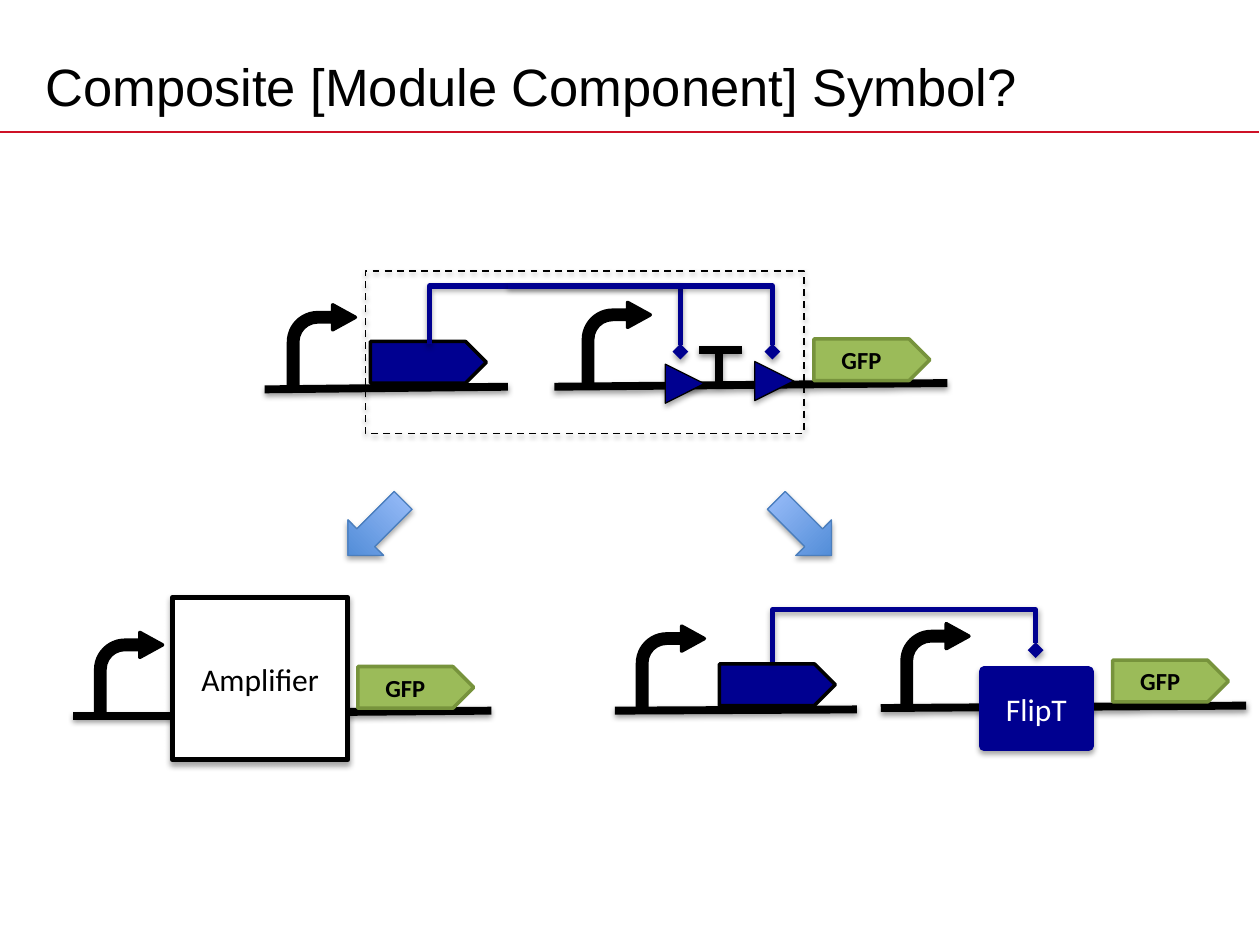
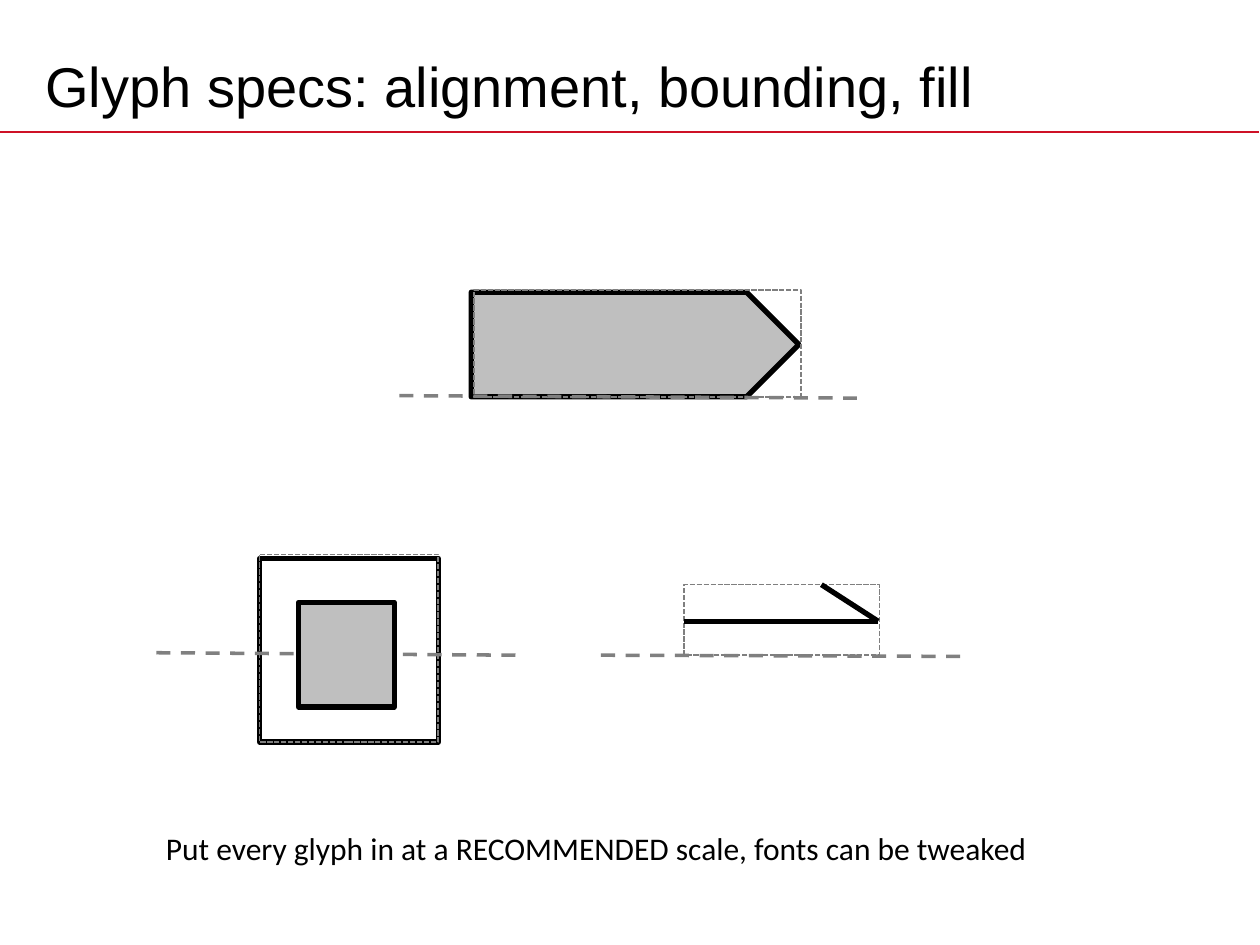
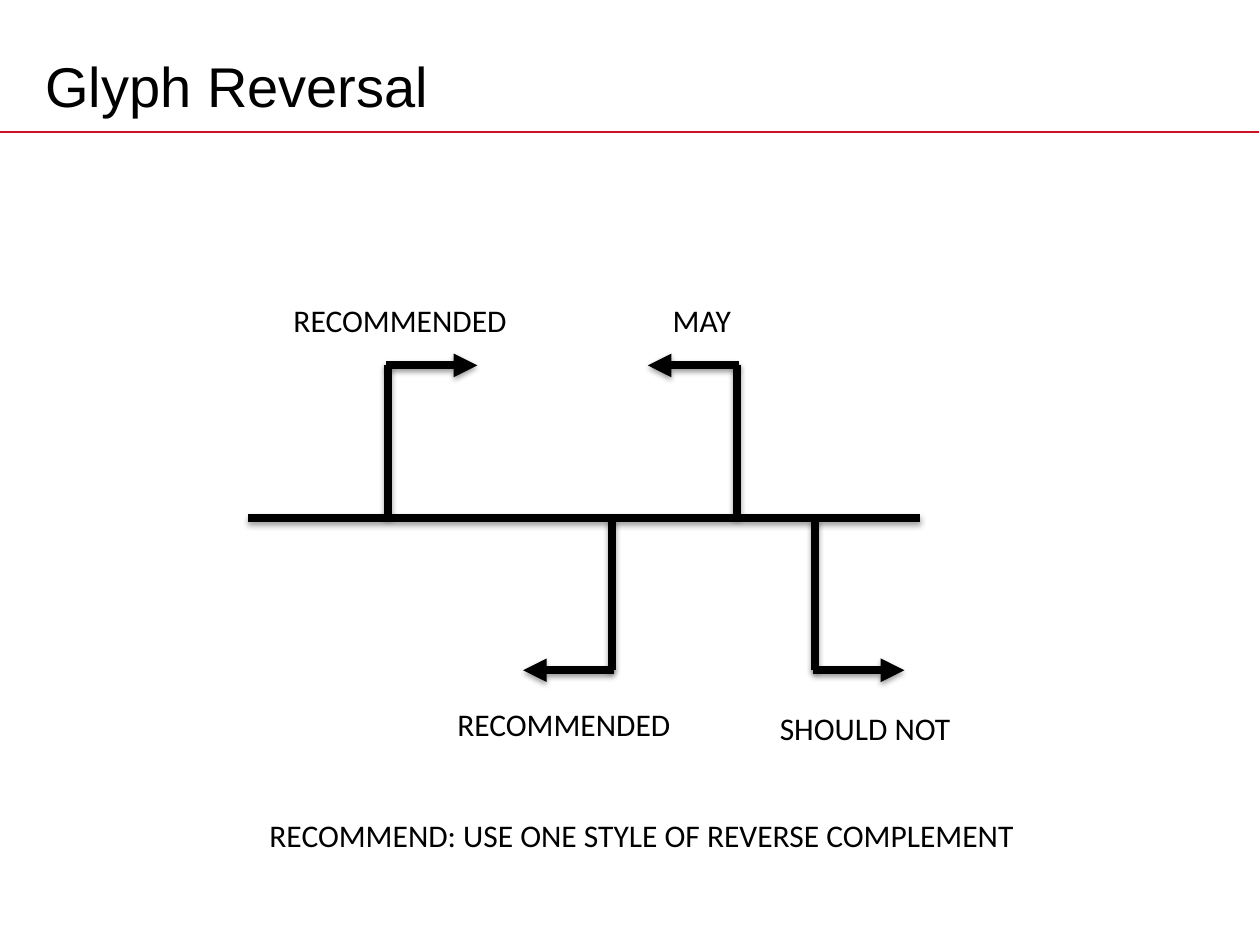
from lxml.etree import SubElement
from pptx import Presentation
from pptx.dml.color import RGBColor
from pptx.enum.dml import MSO_LINE
from pptx.enum.shapes import MSO_CONNECTOR, MSO_SHAPE
from pptx.enum.text import MSO_ANCHOR, MSO_AUTO_SIZE, PP_ALIGN
from pptx.oxml.ns import qn
from pptx.util import Pt

BLACK, WHITE, NAVY = "000000", "FFFFFF", "000090"
RED, GREEN, DARK_GREEN = "CE1126", "9BBB59", "77933C"
GLYPH_GREY, BASELINE_GREY, BOUNDS_GREY = "BFBFBF", "808080", "7F7F7F"


def paint(sp, line, width, fill=None, dash=None, tail=None, shadow=False):
    """Colour a shape or connector; the theme's shadow stays only on request."""
    if fill:
        sp.fill.solid()
        sp.fill.fore_color.rgb = RGBColor.from_string(fill)
    elif hasattr(sp, "fill"):
        sp.fill.background()
    sp.line.color.rgb = RGBColor.from_string(line)
    sp.line.width = Pt(width)
    if dash:
        sp.line.dash_style = dash
    if tail:
        SubElement(sp.element.spPr.find(qn("a:ln")), qn("a:tailEnd"), type=tail)
    if not shadow:
        SubElement(sp.element.spPr, qn("a:effectLst"))


def write(sp, text, size=18, color=BLACK, font="Calibri", bold=False, align=PP_ALIGN.LEFT):
    p = sp.text_frame.paragraphs[0]
    p.text = text
    p.alignment = align
    p.font.name = font
    p.font.size = Pt(size)
    p.font.bold = bold
    p.font.color.rgb = RGBColor.from_string(color)


prs = Presentation()
prs.slide_width, prs.slide_height = Pt(720), Pt(540)

# Shared layout: title position and red rule
layout = prs.slide_layouts[5]
title = layout.placeholders[0]
title.left, title.top, title.width, title.height = Pt(18.7), Pt(21.6), Pt(648), Pt(54)

slides = []
for text, size in [
    ("Composite [Module Component] Symbol?", 30),
    ("Glyph specs: alignment, bounding, fill", 32),
    ("Glyph Reversal", 32),
]:
    s = prs.slides.add_slide(layout)
    write(s.shapes.title, text, size, font="Arial")
    s.shapes.title.text_frame.vertical_anchor = MSO_ANCHOR.MIDDLE
    s.shapes.title.text_frame.auto_size = MSO_AUTO_SIZE.NONE
    slides.append(s)
composite, specs, reversal = [s.shapes for s in slides]

rule = composite.add_connector(MSO_CONNECTOR.STRAIGHT, Pt(0), Pt(75.6), Pt(719.5), Pt(75.6))
paint(rule, RED, 1)
layout.shapes.element.append(rule.element)

# Slide 1: promoters, backbones and coding regions
for x, y in [(164.9, 174.2), (333.4, 172.8), (54.7, 361.4), (364.3, 357.8), (515.5, 356.4)]:
    promoter = composite.add_shape(MSO_SHAPE.BENT_ARROW, Pt(x), Pt(y), Pt(38.2), Pt(46.1))
    for i, value in enumerate((0.139, 0.187, 0.34, 0.438)):
        promoter.adjustments[i] = value
    paint(promoter, BLACK, 2, BLACK)

for x1, y1, x2, y2 in [
    (151.2, 222.5, 290.2, 221),
    (316.8, 221, 541.4, 218.9),
    (41.8, 409, 98.6, 409),
    (198, 406.8, 280.8, 406.1),
    (351.4, 406.1, 489.6, 405.4),
    (503.3, 404.6, 712.1, 403.2),
    (411.1, 200.2, 411.1, 219.6),  # terminator stem
    (399.6, 200.2, 424.1, 200.2),  # terminator bar
]:
    backbone = composite.add_connector(MSO_CONNECTOR.STRAIGHT, Pt(x1), Pt(y1), Pt(x2), Pt(y2))
    paint(backbone, BLACK, 4.5, shadow=True)

for x, y, label in [
    (211.7, 195.1, ""),
    (411.1, 379.4, ""),
    (465.1, 193.7, "GFP"),
    (204.5, 380.9, "GFP"),
    (635.8, 377.3, "GFP"),
]:
    coding = composite.add_shape(MSO_SHAPE.RIGHT_ARROW, Pt(x), Pt(y), Pt(66.2), Pt(23.8))
    coding.adjustments[0] = 1
    if label:
        paint(coding, DARK_GREEN, 2, GREEN)
        write(coding, label, 14, bold=True, align=PP_ALIGN.CENTER)
        coding.text_frame.word_wrap = False
    else:
        paint(coding, BLACK, 2, NAVY)

for x, y in [(380.2, 208.1), (431.3, 206.6)]:
    site = composite.add_shape(MSO_SHAPE.ISOSCELES_TRIANGLE, Pt(x), Pt(y), Pt(22.3), Pt(22.3))
    site.rotation = 90
    paint(site, BLACK, 0.75, NAVY, shadow=True)

# Regulation links
for start, *corners in [
    [(245.5, 196.6), (245.5, 163.4), (388.8, 163.4), (388.8, 200.9)],
    [(290.2, 163.4), (441.4, 163.4), (441.4, 200.9)],
    [(441.4, 378), (441.4, 348.5), (591.8, 348.5), (591.8, 371.5)],
]:
    outline = composite.build_freeform(Pt(start[0]), Pt(start[1]))
    outline.add_line_segments([(Pt(x), Pt(y)) for x, y in corners], close=False)
    paint(outline.convert_to_shape(), NAVY, 3, tail="diamond", shadow=True)

# Module boxes
bounds = composite.add_shape(MSO_SHAPE.RECTANGLE, Pt(208.8), Pt(154.8), Pt(250.6), Pt(92.9))
paint(bounds, BLACK, 1, dash=MSO_LINE.DASH, shadow=True)

for label, x, y, w, h, fill, line, width, color in [
    ("Amplifier", 98.6, 341.3, 100.1, 92.9, WHITE, BLACK, 3, BLACK),
    ("FlipT", 562.3, 383.8, 59.8, 42.5, NAVY, NAVY, 6, WHITE),
]:
    module = composite.add_shape(MSO_SHAPE.RECTANGLE, Pt(x), Pt(y), Pt(w), Pt(h))
    paint(module, line, width, fill, shadow=True)
    write(module, label, color=color, align=PP_ALIGN.CENTER)

for x, angle in [(445, 315), (200.2, 45)]:
    choice = composite.add_shape(MSO_SHAPE.DOWN_ARROW, Pt(x), Pt(279.4), Pt(28.8), Pt(44.6))
    choice.rotation = angle
    paint(choice, "4B7EBC", 0.75, shadow=True)
    choice.fill.gradient()
    choice.fill.gradient_angle = 90
    for stop, color in zip(choice.fill.gradient_stops, ("3F80CE", "A4C4FF")):
        stop.color.rgb = RGBColor.from_string(color)

# Slide 2: glyphs, then baselines and bounding boxes over them
for kind, x, y, w, h, fill in [
    (MSO_SHAPE.RIGHT_ARROW, 269.3, 167, 187.2, 59.8, GLYPH_GREY),
    (MSO_SHAPE.RECTANGLE, 148.3, 319, 102.2, 105.1, None),
]:
    glyph = specs.add_shape(kind, Pt(x), Pt(y), Pt(w), Pt(h))
    if kind == MSO_SHAPE.RIGHT_ARROW:
        glyph.adjustments[0] = 1
    paint(glyph, BLACK, 3, fill)

for x1, y1, x2, y2 in [
    (228.2, 226.1, 489.6, 227.5),
    (89.3, 373, 295.2, 374.4),
    (343.4, 374.4, 549.4, 375.1),
]:
    baseline = specs.add_connector(MSO_CONNECTOR.STRAIGHT, Pt(x1), Pt(y1), Pt(x2), Pt(y2))
    paint(baseline, BASELINE_GREY, 2, dash=MSO_LINE.DASH)

for x, y, w, h in [
    (270.7, 165.6, 187.2, 61.2),
    (148.3, 316.8, 102.2, 107.3),
    (391, 334.1, 111.6, 40.3),
]:
    bounds = specs.add_shape(MSO_SHAPE.RECTANGLE, Pt(x), Pt(y), Pt(w), Pt(h))
    paint(bounds, BOUNDS_GREY, 1, dash=MSO_LINE.SQUARE_DOT)

core = specs.add_shape(MSO_SHAPE.RECTANGLE, Pt(170.6), Pt(344.2), Pt(54.7), Pt(59.8))
paint(core, BLACK, 3, GLYPH_GREY)

for x, y in [(391, 355), (469.4, 334.1)]:
    stroke = specs.add_connector(MSO_CONNECTOR.STRAIGHT, Pt(x), Pt(y), Pt(501.8), Pt(355))
    paint(stroke, BLACK, 3)

# Slide 3: a backbone with promoters in four orientations
BACKBONE_Y, ABOVE_Y, BELOW_Y = 296, 208.8, 383
strokes = [(141.8, BACKBONE_Y, 525.6, BACKBONE_Y, None)]
for x, y, direction in [
    (221.8, ABOVE_Y, 1),
    (349.9, BELOW_Y, -1),
    (421.2, ABOVE_Y, -1),
    (465.8, BELOW_Y, 1),
]:
    strokes.append((x, y, x, BACKBONE_Y, None))
    strokes.append((x - direction, y, x + 51 * direction, y, "triangle"))
for x1, y1, x2, y2, tail in strokes:
    stroke = reversal.add_connector(MSO_CONNECTOR.STRAIGHT, Pt(x1), Pt(y1), Pt(x2), Pt(y2))
    paint(stroke, BLACK, 4.5, tail=tail, shadow=True)

# Captions
for shapes, text, x, y, w in [
    (specs, "Put every glyph in at a RECOMMENDED scale, fonts can be tweaked", 87.8, 470.2, 513.4),
    (reversal, "RECOMMENDED", 160.6, 168.5, 138.2),
    (reversal, "RECOMMENDED", 254.2, 399.6, 138.2),
    (reversal, "MAY", 377.3, 168.5, 49.7),
    (reversal, "SHOULD NOT", 438.5, 401.8, 113.8),
    (reversal, "RECOMMEND: USE ONE STYLE OF REVERSE COMPLEMENT", 146.9, 463, 441.4),
]:
    caption = shapes.add_textbox(Pt(x), Pt(y), Pt(w), Pt(28.8))
    write(caption, text)
    caption.text_frame.word_wrap = False
    caption.text_frame.auto_size = MSO_AUTO_SIZE.SHAPE_TO_FIT_TEXT

prs.save("out.pptx")
